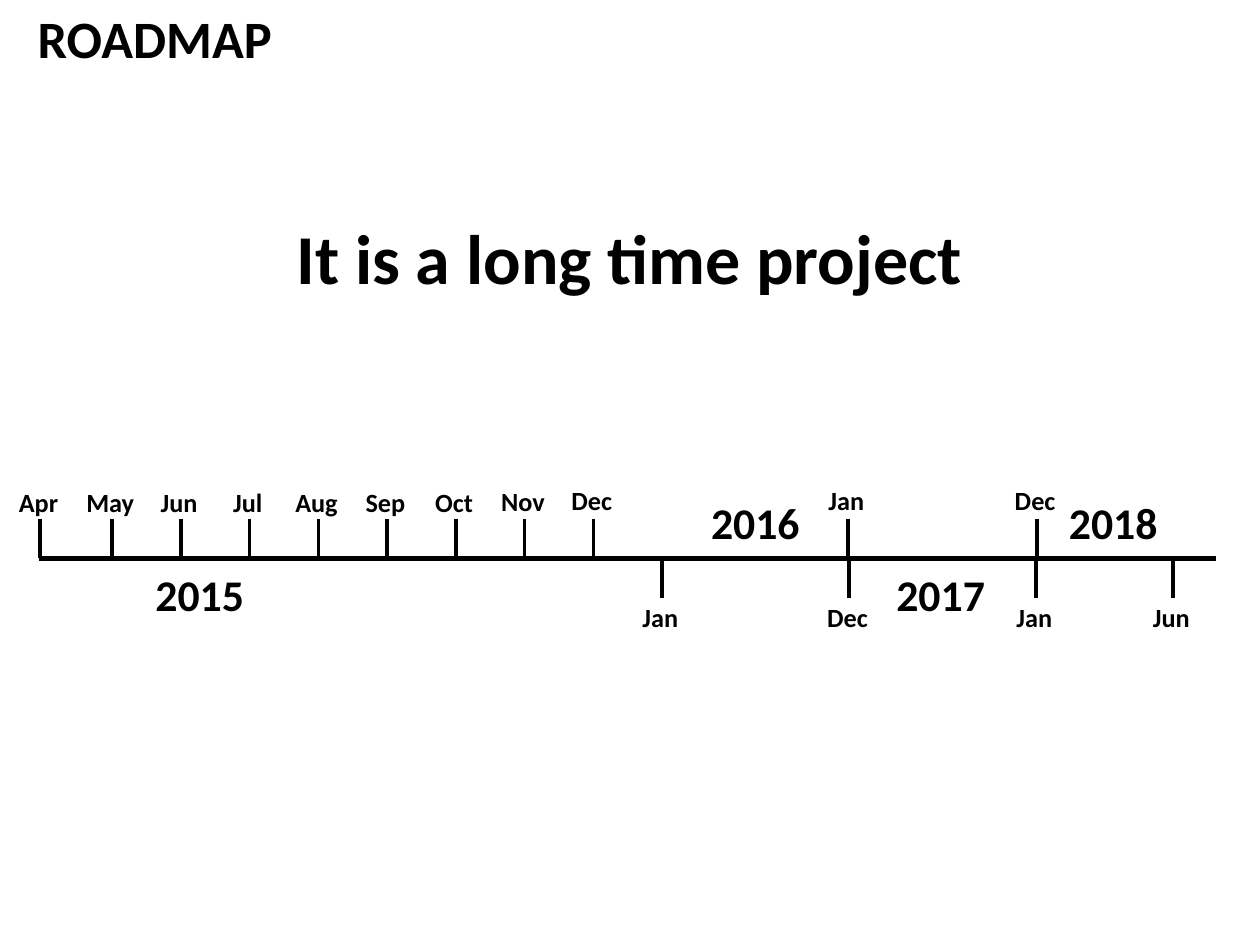
from lxml import etree
from pptx import Presentation
from pptx import util as u
from pptx.dml.color import RGBColor
from pptx.enum import shapes, text
from pptx.oxml.ns import qn

FONT = "Calibri"
INK = "000000"
AXIS_Y = 319
TICK = 22.5
FIRST_TICK = 23
MAY_TICK = 64
MONTH_STEP = 39.3

# month, label width, label top
MONTHS_2015 = [
    ("Apr", 40, 274.3), ("May", 52.5, 274.3), ("Jun", 40, 274.3),
    ("Jul", 40, 274.3), ("Aug", 45, 274.3), ("Sep", 40, 274.3),
    ("Oct", 40, 274.3), ("Nov", 51, 273.6), ("Dec", 51, 273),
]
# month, tick position
LATER_ABOVE = [("Jan", 484.6), ("Dec", 592.5)]
LATER_BELOW = [("Jan", 378.3), ("Dec", 485.3), ("Jan", 592), ("Jun", 670.3)]
# year, centre, top
YEARS = [("2015", 114.1, 321.1), ("2016", 431.6, 280),
         ("2017", 537.5, 321.1), ("2018", 636.1, 280)]


def color(value):
    return RGBColor.from_string(value)


def add_text(page, words, left, top, width, height, size,
             align=text.PP_ALIGN.CENTER):
    box = page.shapes.add_textbox(u.Pt(left), u.Pt(top), u.Pt(width), u.Pt(height))
    frame = box.text_frame
    frame.word_wrap = True
    frame.auto_size = text.MSO_AUTO_SIZE.SHAPE_TO_FIT_TEXT
    para = frame.paragraphs[0]
    para.text = words
    para.alignment = align
    para.font.name = FONT
    para.font.size = u.Pt(size)
    para.font.bold = True
    para.font.color.rgb = color(INK)


def add_line(page, x1, y1, x2, y2, weight):
    line = page.shapes.add_connector(
        shapes.MSO_CONNECTOR.STRAIGHT, u.Pt(x1), u.Pt(y1), u.Pt(x2), u.Pt(y2))
    line.line.color.rgb = color(INK)
    line.line.width = u.Pt(weight)
    etree.SubElement(line._element.spPr, qn("a:effectLst"))


def add_month(page, month, x, label_top, width=51, below=False):
    """Draw a tick on the axis and its label, centred a point left of it."""
    end = AXIS_Y + TICK if below else AXIS_Y - TICK
    add_line(page, x, min(AXIS_Y, end), x, max(AXIS_Y, end), 2)
    add_text(page, month, x - 1 - width / 2, label_top, width, 25.2, 15)


def add_timeline(page):
    add_line(page, 22.5, AXIS_Y, 695, AXIS_Y, 3)
    for i, (month, width, top) in enumerate(MONTHS_2015):
        x = MAY_TICK + (i - 1) * MONTH_STEP if i else FIRST_TICK
        add_month(page, month, x, top, width)
    for month, x in LATER_ABOVE:
        add_month(page, month, x, 273)
    for month, x in LATER_BELOW:
        add_month(page, month, x, 340, below=True)
    for year, centre, top in YEARS:
        add_text(page, year, centre - 42, top, 84, 37.4, 25)


def main():
    deck = Presentation()
    deck.slide_width, deck.slide_height = u.Pt(720), u.Pt(540)
    page = deck.slides.add_slide(deck.slide_layouts[6])
    add_text(page, "ROADMAP", 14.4, 0, 692, 44, 30, text.PP_ALIGN.LEFT)
    add_timeline(page)
    add_text(page, "It is a long time project", 16.6, 118.8, 686, 55.4, 40)
    deck.save("out.pptx")


if __name__ == "__main__":
    main()
